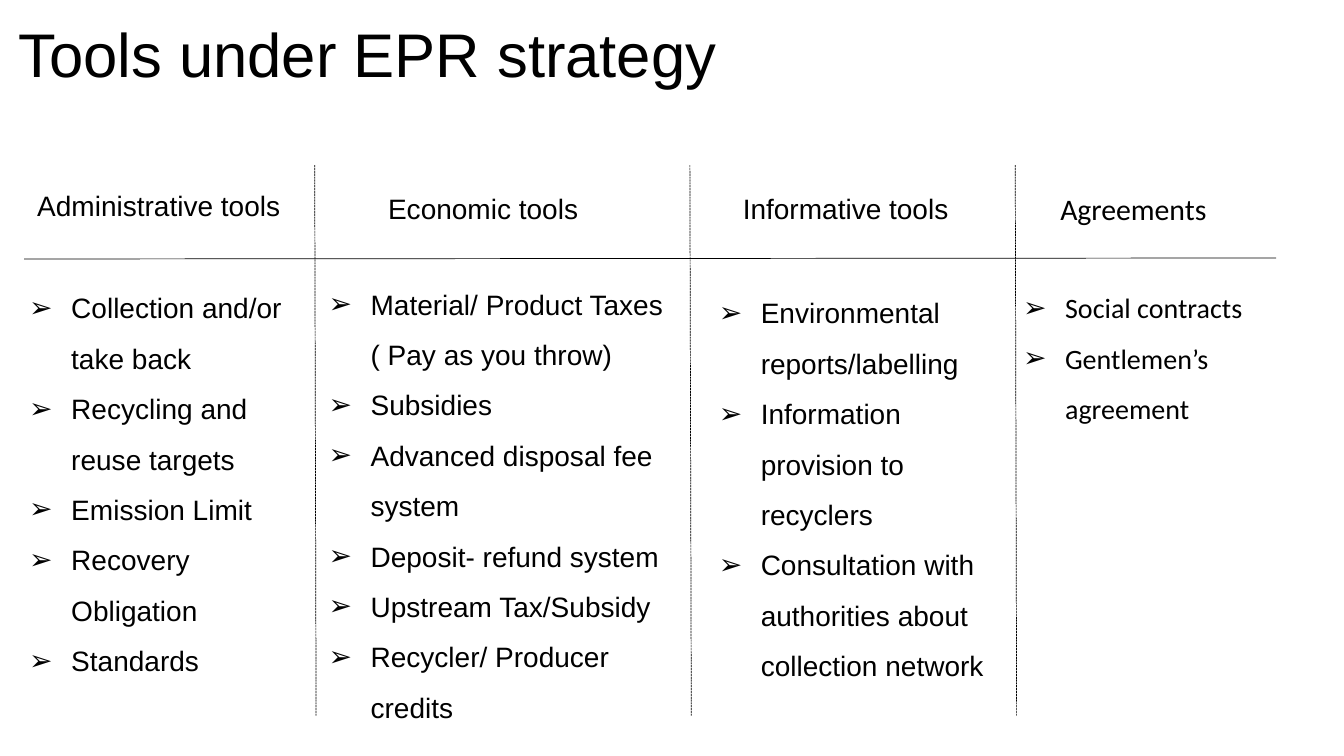
"""Build a slide comparing four groups of tools under an EPR strategy."""
from dataclasses import dataclass

from lxml import etree
from pptx import Presentation
from pptx.dml.color import RGBColor
from pptx.enum.dml import MSO_LINE
from pptx.enum.shapes import MSO_CONNECTOR
from pptx.enum.text import MSO_ANCHOR, MSO_AUTO_SIZE, PP_ALIGN
from pptx.oxml.ns import qn
from pptx.util import Pt

STRAIGHT = MSO_CONNECTOR.STRAIGHT
DOTTED = MSO_LINE.SQUARE_DOT
TOP = MSO_ANCHOR.TOP
GROW = MSO_AUTO_SIZE.SHAPE_TO_FIT_TEXT
LEFT = PP_ALIGN.LEFT


@dataclass(frozen=True)
class Theme:
    ink: RGBColor = RGBColor(0, 0, 0)
    font: str = "Arial"
    agreement_font: str = "Calibri"
    title_size: float = 44
    text_size: float = 20
    agreement_heading_size: float = 21.3
    rule_width: float = 0.5
    bullet_indent: float = 30


THEME = Theme()


def fill_text(shape, box, lines, font, size, spacing):
    """Place a shape and set its lines in one style."""
    shape.left, shape.top, shape.width, shape.height = (Pt(length) for length in box)
    frame = shape.text_frame
    frame.text = "\n".join(lines)
    frame.word_wrap = True
    frame.auto_size = GROW
    frame.vertical_anchor = TOP
    frame.margin_left = frame.margin_top = frame.margin_right = frame.margin_bottom = 0
    for paragraph in frame.paragraphs:
        paragraph.alignment = LEFT
        paragraph.line_spacing = spacing
        paragraph.space_before = paragraph.space_after = Pt(0)
        style = paragraph.runs[0].font
        style.name, style.size, style.bold = font, Pt(size), False
        style.color.rgb = THEME.ink


def add_rule(start, end, dash=None):
    """Draw a thin line between two points."""
    rule = slide.shapes.add_connector(STRAIGHT, *(Pt(length) for length in start + end))
    rule.line.color.rgb = THEME.ink
    rule.line.width = Pt(THEME.rule_width)
    if dash:
        rule.line.dash_style = dash
    etree.SubElement(rule._element.spPr, qn("a:effectLst"))


presentation = Presentation()
presentation.slide_width, presentation.slide_height = Pt(960), Pt(540)
slide = presentation.slides.add_slide(presentation.slide_layouts.get_by_name("Comparison"))

fill_text(slide.shapes.title, (13, 21.6, 947, 64.8), ["Tools under EPR strategy"],
          THEME.font, THEME.title_size, Pt(42.7))

add_rule((17.3, 185), (911.5, 184.3))
for divider_x in (224.8, 492.8, 725.2):
    add_rule((divider_x, 118), (divider_x + 1, 511.2), DOTTED)

tool_groups = [
    ("Administrative tools", (26.6, 131), (20.9, 195.8, 198.7, 316),
     THEME.font, THEME.text_size,
     ["Collection and/or take back", "Recycling and reuse targets", "Emission Limit",
      "Recovery Obligation", "Standards"]),
    ("Economic tools", (277.2, 133.2), (234.7, 193, 258.5, 380),
     THEME.font, THEME.text_size,
     ["Material/ Product Taxes ( Pay as you throw)", "Subsidies",
      "Advanced disposal fee system", "Deposit- refund system",
      "Upstream Tax/Subsidy", "Recycler/ Producer credits"]),
    ("Informative tools", (530.6, 133.5), (513.4, 199.4, 198, 286.6),
     THEME.font, THEME.text_size,
     ["Environmental reports/labelling", "Information provision to recyclers",
      "Consultation with authorities about collection network"]),
    ("Agreements", (757.4, 132.5), (730.8, 195.8, 214.6, 133),
     THEME.agreement_font, THEME.agreement_heading_size,
     ["Social contracts", "Gentlemen’s agreement"]),
]

for number, (group, corner, list_box, font, heading_size, tools) in enumerate(tool_groups, 1):
    heading = slide.shapes.add_textbox(0, 0, 0, 0)
    fill_text(heading, corner + (187.2, 25.2), [group], font, heading_size, 1.14)

    tool_list = slide.placeholders[number]
    fill_text(tool_list, list_box, tools, font, THEME.text_size, 1.5)
    for tool in tool_list.text_frame.paragraphs:
        properties = tool._p.get_or_add_pPr()
        properties.set("marL", str(Pt(THEME.bullet_indent)))
        properties.set("indent", str(-Pt(THEME.bullet_indent)))
        etree.SubElement(properties, qn("a:buFont"), typeface=THEME.font)
        etree.SubElement(properties, qn("a:buChar"), char="➢")

presentation.save("out.pptx")
